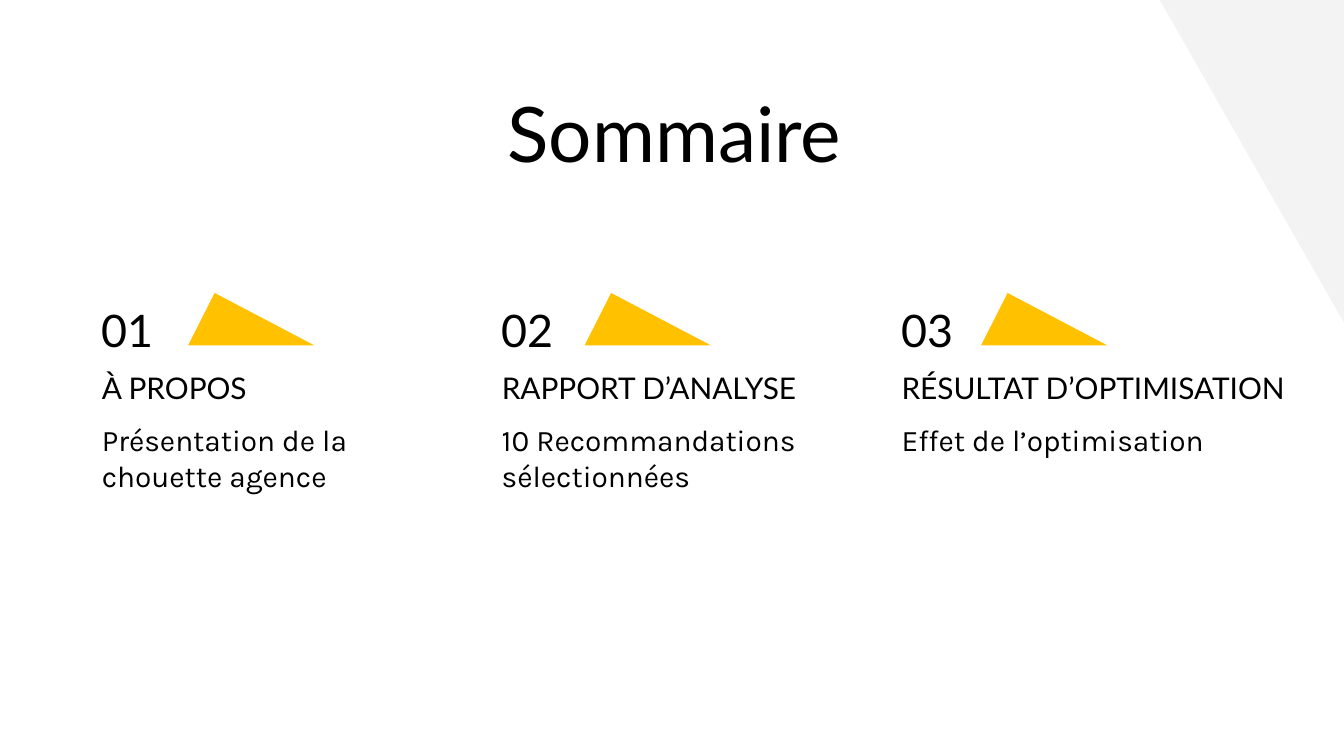
from dataclasses import dataclass

from pptx import Presentation
from pptx.dml.color import RGBColor
from pptx.enum.shapes import MSO_SHAPE
from pptx.enum.text import MSO_ANCHOR as Anchor, PP_ALIGN as Align
from pptx.util import Inches, Pt


@dataclass(frozen=True)
class Theme:
    ink: RGBColor = RGBColor(0x00, 0x00, 0x00)
    accent: RGBColor = RGBColor(0xFF, 0xC1, 0x00)
    corner: RGBColor = RGBColor(0xF3, 0xF3, 0xF3)
    heading_font: str = "Lato"
    body_font: str = "Karla"
    title_size: int = 41
    number_size: int = 24
    text_size: int = 16


@dataclass(frozen=True)
class Grid:
    """Columns of text, columns of triangles and rows, in inches."""
    left: float = 0.66
    pitch: float = 5.95 / 2
    marker_left: float = 1.4
    marker_pitch: float = 2.95
    marker_top: float = 2.18
    top: float = 2.26
    row: float = 0.39

    def x(self, col: int) -> float:
        return self.left + col * self.pitch

    def y(self, row: int) -> float:
        return self.top + row * self.row


@dataclass(frozen=True)
class Section:
    heading: str
    body: str
    heading_width: float


THEME = Theme()
GRID = Grid()
WIDTH = 10
HEIGHT = WIDTH * 9 / 16
SECTIONS = [
    Section("À PROPOS", "Présentation de la chouette agence", 2.36),
    Section("RAPPORT D’ANALYSE", "10 Recommandations sélectionnées", 2.45),
    Section("RÉSULTAT D’OPTIMISATION", "Effet de l’optimisation", 3.07),
]


def paint(sp, color: RGBColor) -> None:
    sp.shadow.inherit = False
    sp.fill.solid()
    sp.fill.fore_color.rgb = color
    sp.line.fill.background()


def add_corner(s) -> None:
    builder = s.shapes.build_freeform(Inches(8.63), 0)
    builder.add_line_segments([(Inches(WIDTH), 0), (Inches(WIDTH), Inches(2.4))])
    paint(builder.convert_to_shape(), THEME.corner)


def add_text(s, text: str, x: float, y: float, w: float, h: float, size: int,
             font: str = THEME.heading_font, align: Align = Align.LEFT,
             anchor: Anchor = Anchor.TOP) -> None:
    tf = s.shapes.add_textbox(Inches(x), Inches(y), Inches(w), Inches(h)).text_frame
    tf.word_wrap = True
    tf.vertical_anchor = anchor
    tf.margin_left = tf.margin_right = tf.margin_top = tf.margin_bottom = Inches(0.1)
    p = tf.paragraphs[0]
    p.text = text
    p.alignment = align
    p.font.name = font
    p.font.size = Pt(size)
    p.font.color.rgb = THEME.ink


def add_marker(s, col: int) -> None:
    x = GRID.marker_left + col * GRID.marker_pitch
    sp = s.shapes.add_shape(MSO_SHAPE.ISOSCELES_TRIANGLE, Inches(x),
                            Inches(GRID.marker_top), Inches(0.94), Inches(GRID.row))
    sp.adjustments[0] = 0.21
    paint(sp, THEME.accent)


def add_section(s, col: int, section: Section) -> None:
    x = GRID.x(col)
    add_marker(s, col)
    add_text(s, f"{col + 1:02}", x, GRID.y(0), 1.18, GRID.row,
             THEME.number_size, anchor=Anchor.MIDDLE)
    add_text(s, section.heading, x, GRID.y(1), section.heading_width, GRID.row,
             THEME.text_size)
    add_text(s, section.body, x, GRID.y(2), 2.84, GRID.row,
             THEME.text_size, THEME.body_font)


def main() -> None:
    prs = Presentation()
    prs.slide_width, prs.slide_height = Inches(WIDTH), Inches(HEIGHT)
    s = prs.slides.add_slide(prs.slide_layouts[6])
    add_corner(s)
    add_text(s, "Sommaire", 0.59, 0.54, 8.86, 0.63, THEME.title_size,
             align=Align.CENTER)
    for col, section in enumerate(SECTIONS):
        add_section(s, col, section)
    prs.save("out.pptx")


if __name__ == "__main__":
    main()
